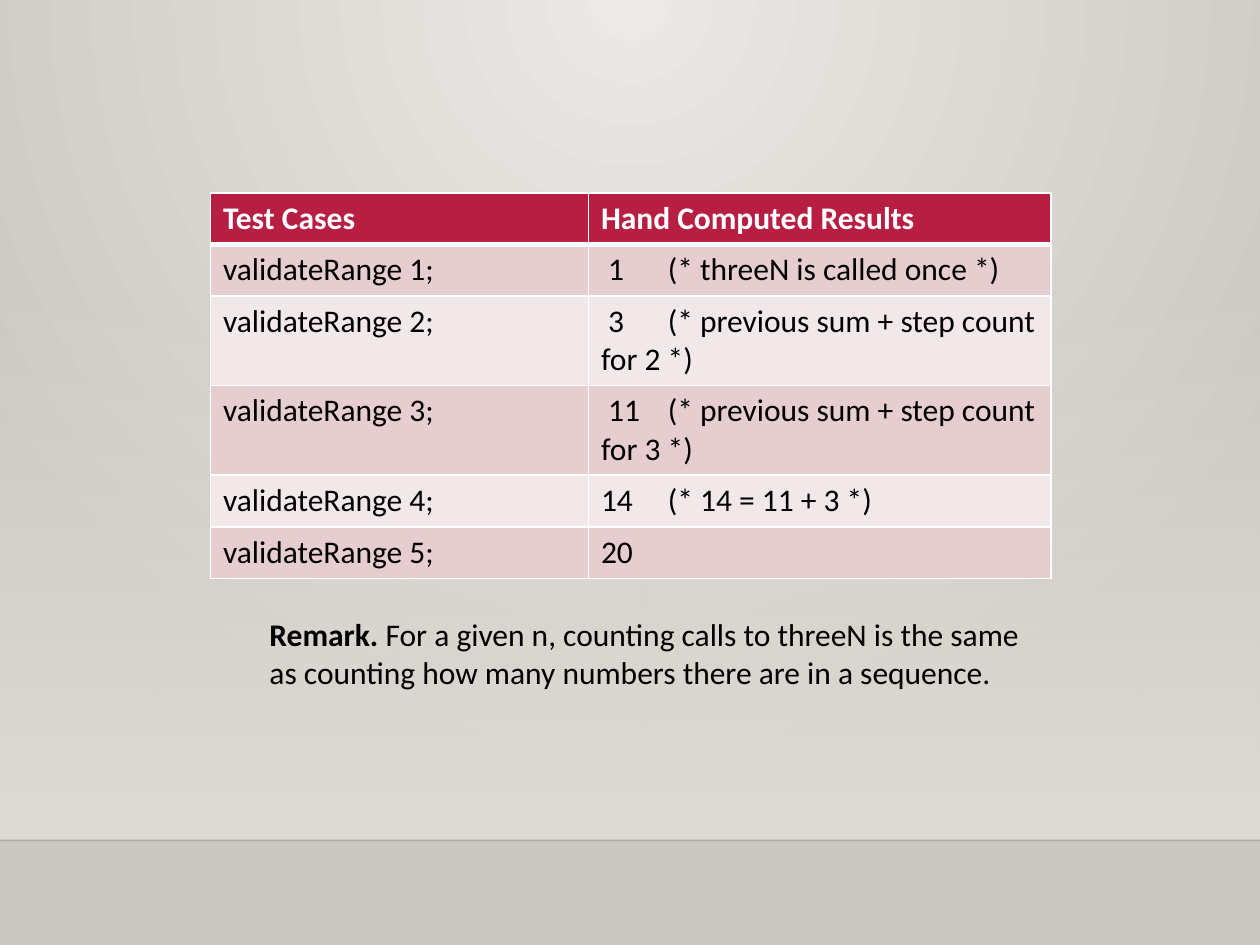
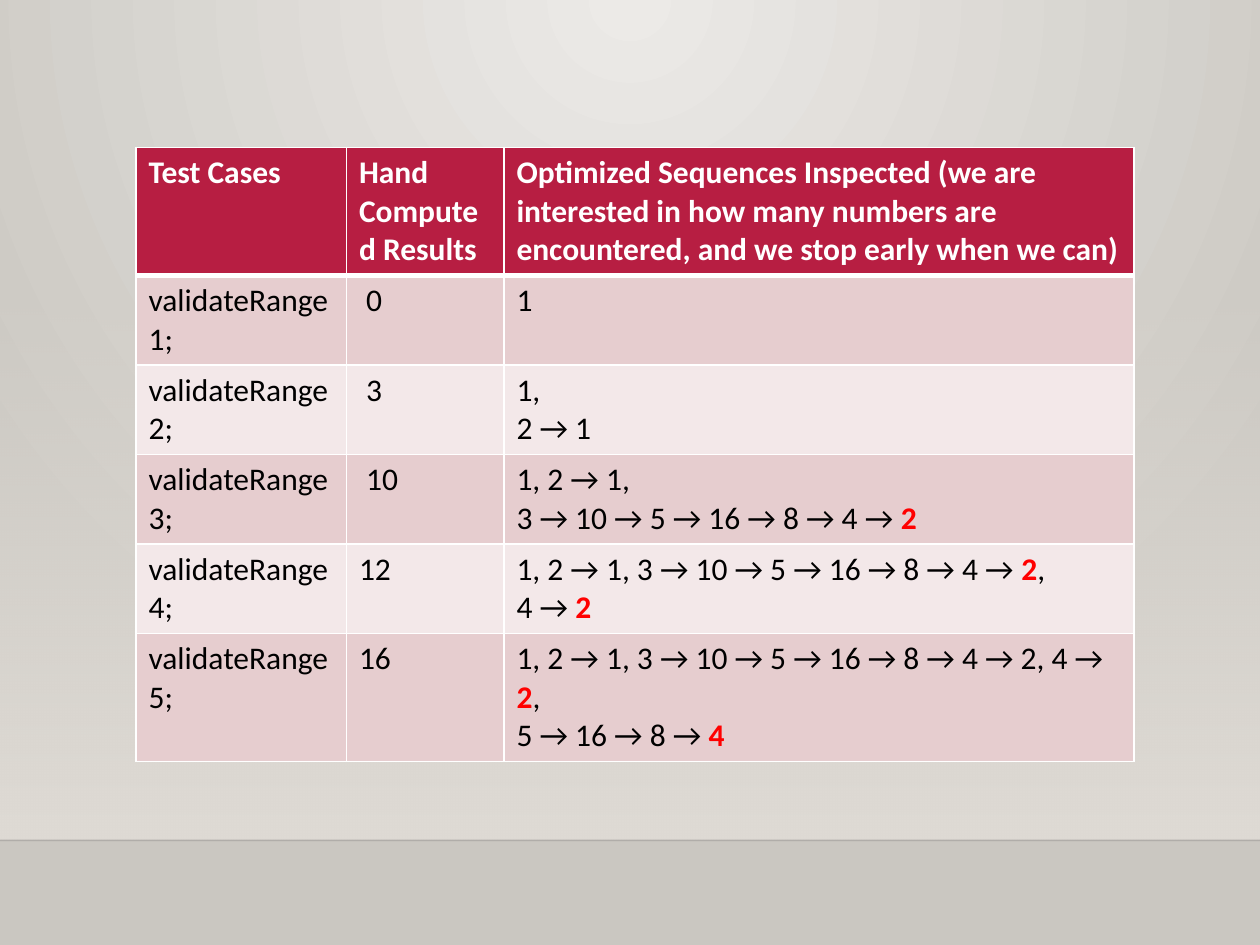
from lxml import etree
from pptx import Presentation
from pptx import util as u
from pptx.dml.color import RGBColor
from pptx.enum import shapes, text
from pptx.oxml import ns, parse_xml

COLORS = {
    "glow": "ECEAE7", "edge": "CAC7C1", "band": "DFDBD5", "rule": "000001",
    "header": "B71E42", "odd": "E6CDCF", "even": "F3E8E9",
    "white": "FFFFFF", "black": "000000", "accent": "FF0000",
}
FONT = "Calibri"
ROW_HEIGHT = 0.41


def rgb(name):
    return RGBColor.from_string(COLORS[name])


def set_alpha(color_element, percent):
    etree.SubElement(color_element, ns.qn("a:alpha"), val=str(percent * 1000))


def set_gradient(fill, first, last):
    fill.gradient()
    for stop, name in zip(fill.gradient_stops, (first, last)):
        stop.color.rgb = rgb(name)


def style_master(master):
    set_gradient(master.background.fill, "glow", "edge")
    lin = master.element.xpath(".//p:bg//a:lin")[0]
    lin.getparent().replace(lin, parse_xml(
        f'<a:path {ns.nsdecls("a")} path="circle">'
        '<a:fillToRect l="43000" t="0" r="43000" b="100000"/></a:path>'))


def add_floor(s, left, top, width, height):
    sp = s.shapes.add_shape(shapes.MSO_SHAPE.RECTANGLE, u.Inches(left), u.Inches(top),
                            u.Inches(width), u.Inches(height))
    sp.shadow.inherit = False
    sp.line.fill.background()
    set_gradient(sp.fill, "band", "band")
    sp.fill.gradient_angle = 270
    set_alpha(sp.element.xpath(".//a:gs/a:srgbClr")[0], 0)

    y = u.Inches(top + height)
    rule = s.shapes.add_connector(shapes.MSO_CONNECTOR.STRAIGHT, u.Inches(left), y,
                                  u.Inches(left + width), y)
    rule.line.width = u.Pt(1)
    rule.line.color.rgb = rgb("rule")
    set_alpha(rule.element.xpath(".//a:ln//a:srgbClr")[0], 20)
    etree.SubElement(rule.element.spPr, ns.qn("a:effectLst"))


def write(tf, content, color="black", bold=False, mark="accent"):
    for i, line in enumerate(content.split("\n")):
        p = tf.add_paragraph() if i else tf.paragraphs[0]
        p.font.name, p.font.size, p.font.bold = FONT, u.Pt(18), bold
        p.font.color.rgb = rgb(color)
        for j, part in enumerate(line.split("|")):
            if part:
                r = p.add_run()
                r.text = part
                if j % 2:
                    r.font.bold = True
                    r.font.color.rgb = rgb(mark)
        if "\t" in line:
            p._p.get_or_add_pPr().insert(0, parse_xml(
                f'<a:tabLst {ns.nsdecls("a")}>'
                f'<a:tab pos="{u.Inches(0.53)}" algn="l"/></a:tabLst>'))


def set_borders(cell, top, bottom):
    tc_pr = cell._tc.get_or_add_tcPr()
    for i, (side, points) in enumerate((("L", 1), ("R", 1), ("T", top), ("B", bottom))):
        tc_pr.insert(i, parse_xml(
            f'<a:ln{side} {ns.nsdecls("a")} w="{u.Pt(points)}"><a:solidFill>'
            f'<a:srgbClr val="{COLORS["white"]}"/></a:solidFill></a:ln{side}>'))


def add_results_table(s, left, top, widths, rows):
    table = s.shapes.add_table(
        len(rows), len(widths), u.Inches(left), u.Inches(top),
        u.Inches(sum(widths)), u.Inches(ROW_HEIGHT * len(rows))).table
    for column, width in zip(table.columns, widths):
        column.width = u.Inches(width)
    for i, row in enumerate(rows):
        table.rows[i].height = u.Inches(ROW_HEIGHT)
        for j, content in enumerate(row):
            cell = table.cell(i, j)
            cell.fill.solid()
            cell.fill.fore_color.rgb = rgb("header" if i == 0 else "odd" if i % 2 else "even")
            set_borders(cell, 3 if i == 1 else 1, 3 if i == 0 else 1)
            write(cell.text_frame, content, "black" if i else "white", i == 0)


def add_remark(s, left, top, width, height, content):
    tf = s.shapes.add_textbox(u.Inches(left), u.Inches(top),
                              u.Inches(width), u.Inches(height)).text_frame
    tf.word_wrap = True
    tf.auto_size = text.MSO_AUTO_SIZE.SHAPE_TO_FIT_TEXT
    write(tf, content, mark="black")


def add_slide(prs):
    s = prs.slides.add_slide(prs.slide_layouts.get_by_name("Blank"))
    add_floor(s, 0, 2.2, 10, 4.47)
    return s


def number_cases(header, results):
    return [header] + [(f"validateRange {n};", *row) for n, row in enumerate(results, 1)]


HEADER = ("Test Cases", "Hand Computed Results")
CALL_COUNTS = [
    (" 1\t(* threeN is called once *)",),
    (" 3\t(* previous sum + step count for 2 *)",),
    (" 11\t(* previous sum + step count for 3 *)",),
    ("14\t(* 14 = 11 + 3 *)",),
    ("20",),
]
THREE = "3 → 10 → 5 → 16 → 8 → 4 → "
SEQUENCES = [
    (" 0", "1"),
    (" 3", "1, \n2 → 1 "),
    (" 10", f"1, 2 → 1,\n{THREE}|2|"),
    ("12", f"1, 2 → 1, {THREE}|2|,\n4 → |2|"),
    ("16", f"1, 2 → 1, {THREE}2, 4 → |2|,\n5 → 16 → 8 → |4|"),
]

prs = Presentation()
prs.slide_width, prs.slide_height = u.Inches(10), u.Inches(7.5)
style_master(prs.slide_master)

s = add_slide(prs)
add_results_table(s, 1.67, 1.53, (3, 3.67), number_cases(HEADER, CALL_COUNTS))
add_remark(s, 2.04, 4.83, 6.29, 0.71,
           "|Remark.| For a given n, counting calls to threeN is the same as "
           "counting how many numbers there are in a sequence.")

s = add_slide(prs)
inspected = ("Optimized Sequences Inspected (we are interested in how many numbers "
             "are encountered, and we stop early when we can)")
add_results_table(s, 1.08, 1.17, (1.67, 1.25, 5),
                  number_cases(HEADER + (inspected,), SEQUENCES))

prs.save("out.pptx")
